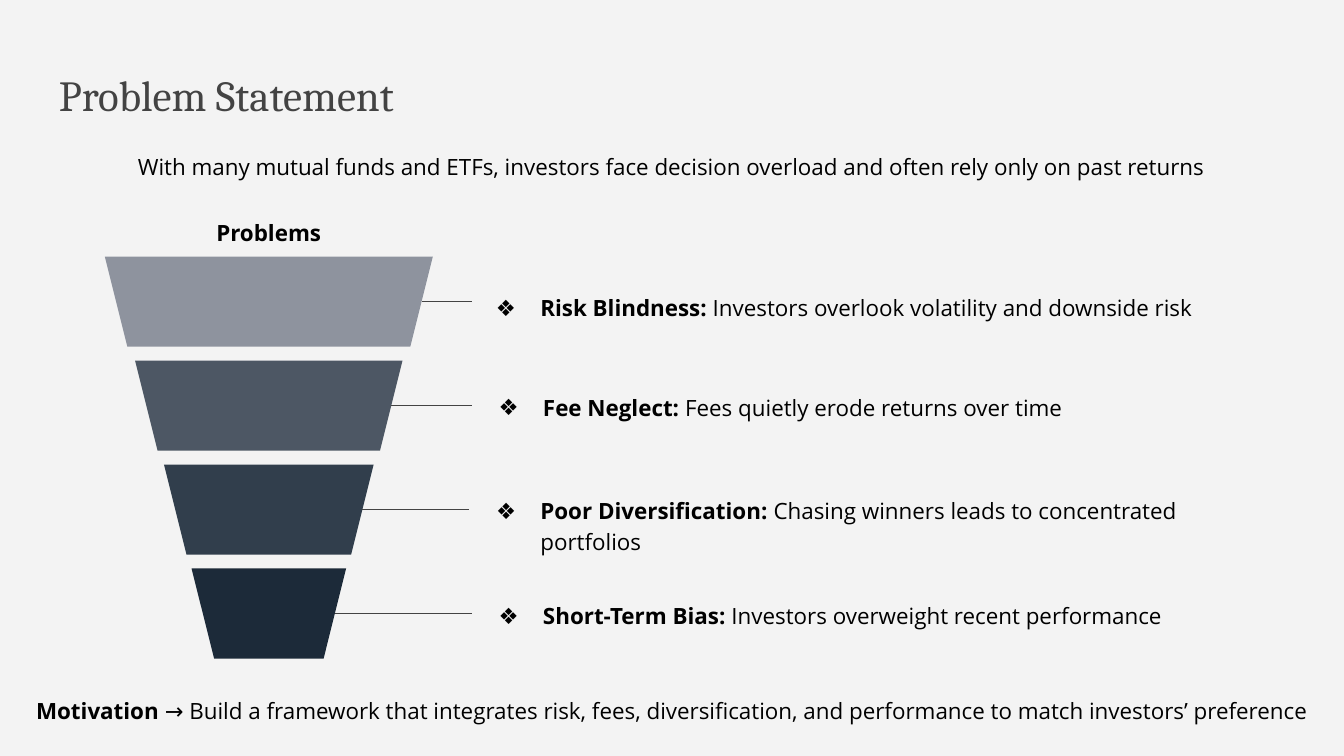
from lxml.etree import SubElement
from pptx import Presentation
from pptx.dml.color import RGBColor
from pptx.enum.shapes import MSO_CONNECTOR, MSO_SHAPE
from pptx.enum.text import MSO_ANCHOR, PP_ALIGN
from pptx.oxml.ns import qn
from pptx.util import Inches, Pt

COLORS = {
    "background": "F3F3F3",
    "title": "434343",
    "text": "000000",
    "line": "434343",
    "tier_1": "8E939E",
    "tier_2": "4D5764",
    "tier_3": "313E4C",
    "tier_4": "1C2A39",
}
BODY = {"name": "Open Sans", "size": Pt(12)}
TITLE = {"name": "Cambria", "size": Pt(23)}

PROBLEMS = [
    {"width": 2.44, "label": (3.49, 2.12, 6.33), "line_start": 3.51,
     "runs": [("Risk Blindness:", True),
              (" Investors overlook volatility and downside risk", False)]},
    {"width": 1.99, "label": (3.51, 2.86, 5.02), "line_start": 3.51,
     "runs": [("Fee Neglect:", True),
              (" Fees quietly erode returns over time", False)]},
    {"width": 1.56, "label": (3.49, 3.63, 5.99), "line_start": 3.49,
     "runs": [("Poor Diversification:", True),
              (" Chasing winners leads to concentrated portfolios", False)]},
    {"width": 1.15, "label": (3.51, 4.41, 6.49), "line_start": 3.51,
     "runs": [("Short-Term Bias:", True),
              (" Investors overweight recent performance", False)]},
]


def color(name):
    return RGBColor.from_string(COLORS[name])


def add_bullet(paragraph, character):
    properties = paragraph._p.get_or_add_pPr()
    properties.set("marL", str(Inches(0.49)))
    properties.set("indent", str(Inches(-0.33)))
    bullet_color = SubElement(properties, qn("a:buClr"))
    SubElement(bullet_color, qn("a:srgbClr"), val=COLORS["text"])
    SubElement(properties, qn("a:buSzPts"), val="1200")
    SubElement(properties, qn("a:buFont"), typeface=BODY["name"])
    SubElement(properties, qn("a:buChar"), char=character)


def add_text(slide, box, runs, font=BODY, color_name="text",
             alignment=PP_ALIGN.LEFT, inset=0.1, bullet=None):
    shape = slide.shapes.add_textbox(*map(Inches, box))
    frame = shape.text_frame
    frame_format = {"word_wrap": True, "vertical_anchor": MSO_ANCHOR.TOP}
    for side in ("left", "top", "right", "bottom"):
        frame_format[f"margin_{side}"] = Inches(inset)
    for key, value in frame_format.items():
        setattr(frame, key, value)
    paragraph = frame.paragraphs[0]
    paragraph.alignment = alignment
    paragraph.line_spacing = 1.15
    if bullet:
        add_bullet(paragraph, bullet)
    for text, bold in runs:
        run = paragraph.add_run()
        run.text = text
        for key, value in {**font, "bold": bold}.items():
            setattr(run.font, key, value)
        run.font.color.rgb = color(color_name)


def add_tier(slide, box, color_name):
    shape = slide.shapes.add_shape(MSO_SHAPE.TRAPEZOID, *map(Inches, box))
    shape.rotation = 180
    shape.adjustments[0] = 0.25
    shape.shadow.inherit = False
    shape.fill.solid()
    shape.fill.fore_color.rgb = color(color_name)
    shape.line.fill.background()


def add_leader(slide, start, end, y):
    connector = slide.shapes.add_connector(
        MSO_CONNECTOR.STRAIGHT, Inches(start), Inches(y), Inches(end), Inches(y))
    connector.line.color.rgb = color("line")
    connector.line.width = Pt(0.73)
    SubElement(connector._element.spPr, qn("a:effectLst"))


def add_header(slide, left, top, width):
    add_text(slide, (left + 0.34, top, 8.44, 0.52),
             [("Problem Statement", False)], TITLE, "title")
    add_text(slide, (left, top + 0.66, width, 0.52),
             [("With many mutual funds and ETFs, investors face decision overload "
               "and often rely only on past returns", False)],
             alignment=PP_ALIGN.CENTER)


def add_funnel(slide, left, top, width, height):
    tier_height = 0.67
    pitch = (height - tier_height) / (len(PROBLEMS) - 1)
    center = left + width / 2
    add_text(slide, (center - 0.82, top - 0.41, 1.64, 0.4),
             [("Problems", True)], alignment=PP_ALIGN.CENTER)
    for index, problem in enumerate(PROBLEMS):
        tier_top = top + index * pitch
        half_width = problem["width"] / 2
        add_tier(slide, (center - half_width, tier_top, problem["width"], tier_height),
                 f"tier_{index + 1}")
        tier_edge = center + half_width - tier_height / 8
        add_leader(slide, problem["line_start"], tier_edge, tier_top + tier_height / 2)
        add_text(slide, (*problem["label"], 0.3), problem["runs"],
                 inset=0.04, bullet="❖")


def add_motivation(slide, left, top, width, height):
    add_text(slide, (left, top, width, height),
             [("Motivation", True),
              (" → Build a framework that integrates risk, fees, diversification, "
               "and performance to match investors’ preference", False)],
             alignment=PP_ALIGN.CENTER)


def main():
    presentation = Presentation()
    presentation.slide_width = Inches(10)
    presentation.slide_height = presentation.slide_width * 9 // 16
    slide = presentation.slides.add_slide(presentation.slide_layouts[6])
    slide.background.fill.solid()
    slide.background.fill.fore_color.rgb = color("background")
    add_header(slide, 0, 0.35, 10)
    add_funnel(slide, 0.78, 1.91, 2.44, 2.99)
    add_motivation(slide, 0.16, 5.06, 9.69, 0.4)
    presentation.save("out.pptx")


if __name__ == "__main__":
    main()
